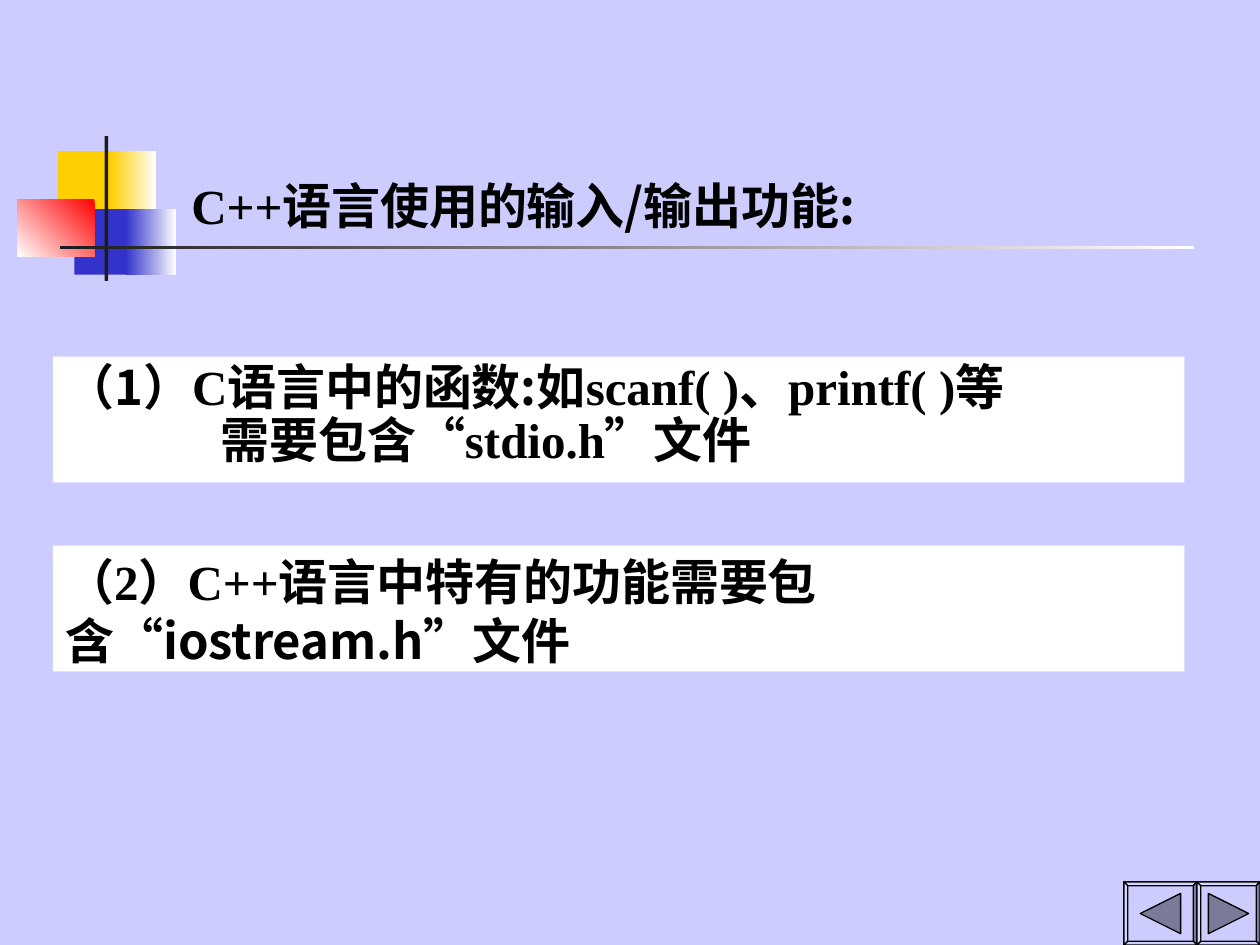
from pptx import Presentation
from pptx.dml.color import RGBColor
from pptx.enum.lang import MSO_LANGUAGE_ID as LANG
from pptx.enum.shapes import MSO_SHAPE as SHAPE
from pptx.enum.text import MSO_ANCHOR as ANCHOR, PP_ALIGN as ALIGN
from pptx.oxml.ns import qn
from pptx.util import Inches, Pt

COLORS = {
    "background": "CCCCFF", "white": "FFFFFF", "black": "000000",
    "yellow": "FFCF01", "blue": "3333CC", "red": "FF0000", "dark": "1C1C1C",
    "light_bevel": "D6D6FF", "dark_bevel": "7A7A99",
}
LATIN, CJK = "Times New Roman", "Noto Sans CJK SC"


def rgb(name):
    return RGBColor.from_string(COLORS[name])


def add_rect(s, box, start, end=None, angle=180):
    """Add a borderless rectangle, graded from start to end if end is given."""
    sp = s.shapes.add_shape(SHAPE.RECTANGLE, *map(Inches, box))
    sp.shadow.inherit = False
    sp.line.fill.background()
    if end is None:
        sp.fill.solid()
        sp.fill.fore_color.rgb = rgb(start)
    else:
        sp.fill.gradient()
        sp.fill.gradient_angle = angle
        for stop, color in zip(sp.fill.gradient_stops, (start, end)):
            stop.color.rgb = rgb(color)
    return sp


def write_text(sp, runs, anchor=ANCHOR.TOP):
    """Fill a shape with one bold paragraph of (text, font) runs."""
    tf = sp.text_frame
    tf.word_wrap = True
    tf.vertical_anchor = anchor
    p = tf.paragraphs[0]
    p.alignment = ALIGN.LEFT
    p.font.size = Pt(28)
    p.font.bold = True
    p.font.color.rgb = rgb("black")
    for text, font in runs:
        if text == "\n":
            p.add_line_break()
            continue
        r = p.add_run()
        r.text = text
        r.font.name = font
        r.font.language_id = LANG.SIMPLIFIED_CHINESE
        ea = r.font._element.makeelement(qn("a:ea"), {"typeface": CJK})
        r.font._element.append(ea)
    return p


def add_polygon(s, points, color):
    """Add a closed, thinly outlined polygon."""
    builder = s.shapes.build_freeform(*map(Inches, points[0]), scale=1.0)
    builder.add_line_segments([tuple(map(Inches, pt)) for pt in points[1:]])
    sp = builder.convert_to_shape()
    sp.shadow.inherit = False
    sp.fill.solid()
    sp.fill.fore_color.rgb = rgb(color)
    sp.line.color.rgb = rgb("black")
    sp.line.width = Pt(0.75)


def add_nav_button(s, left, right, direction):
    """Add a bevelled button with an arrow; direction is -1 back, 1 forward."""
    top, bottom, bevel, half = 7, 7.5, 0.03, 0.16
    outer = [(left, top), (right, top), (right, bottom), (left, bottom)]
    inner = [(left + bevel, top + bevel), (right - bevel, top + bevel),
             (right - bevel, bottom - bevel), (left + bevel, bottom - bevel)]
    add_polygon(s, outer, "background")
    sides = ("light_bevel", "dark_bevel", "background", "light_bevel")
    for i, color in enumerate(sides):
        j = (i + 1) % 4
        add_polygon(s, [outer[i], outer[j], inner[j], inner[i]], color)
    x, y = (left + right) / 2, (top + bottom) / 2
    tip, base = x + direction * half, x - direction * half
    add_polygon(s, [(tip, y), (base, y - half), (base, y + half)], "dark_bevel")


def add_ornament(s):
    """Add the coloured blocks and the crossing bars beside the title."""
    add_rect(s, (0.46, 1.2, 0.48, 0.52), "yellow")
    add_rect(s, (0.88, 1.2, 0.36, 0.52), "white", "yellow")
    add_rect(s, (0.59, 1.66, 0.46, 0.52), "blue")
    add_rect(s, (1, 1.66, 0.4, 0.52), "white", "blue")
    add_rect(s, (0.14, 1.58, 0.61, 0.46), "red", "white", angle=225)
    add_rect(s, (0.83, 1.08, 0.03, 1.15), "dark")
    add_rect(s, (0.48, 1.95, 9, 0.03), "white", "dark")


def main():
    prs = Presentation()
    prs.slide_width, prs.slide_height = Inches(10), Inches(7.5)
    s = prs.slides.add_slide(prs.slide_layouts[6])
    s.background.fill.solid()
    s.background.fill.fore_color.rgb = rgb("background")
    add_ornament(s)

    title = s.shapes.add_textbox(*map(Inches, (1.42, 1.08, 5.83, 0.83)))
    write_text(title, [("C++", LATIN), ("语言使用的输入/输出功能:", CJK)], ANCHOR.BOTTOM)

    iostream = add_rect(s, (0.42, 4.33, 8.98, 1), "white")
    write_text(iostream, [("（2）C++", LATIN),
                          ("语言中特有的功能需要包含“iostream.h”文件", CJK)])

    add_nav_button(s, 8.92, 9.5, -1)
    add_nav_button(s, 9.5, 10, 1)

    stdio = add_rect(s, (0.42, 2.83, 8.98, 1), "white")
    p = write_text(stdio, [("（1）", CJK), ("C", LATIN), ("语言中的函数:如", CJK),
                           ("scanf( )", LATIN), ("、", CJK), ("printf( )等", LATIN),
                           ("\n", None), ("需要包含“stdio.h”文件", LATIN)])
    p.line_spacing = 0.9
    p.space_before = Pt(7)
    hanging = Inches(1.23)
    p._p.get_or_add_pPr().set("marL", str(hanging))
    p._p.get_or_add_pPr().set("indent", str(-hanging))

    prs.save("out.pptx")


if __name__ == "__main__":
    main()
